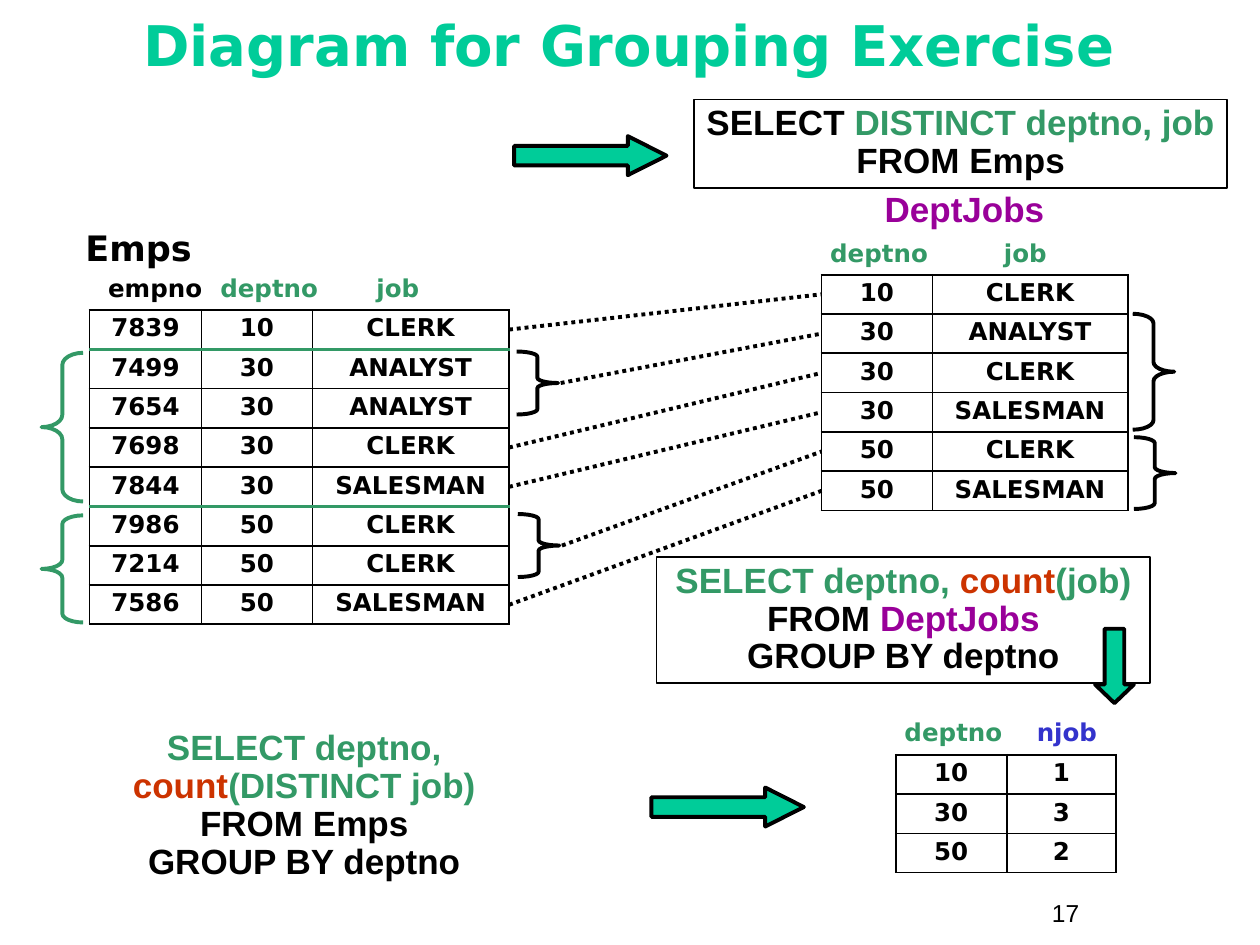
"""Build the slide that shows grouping of employees by department and job."""
from lxml.etree import SubElement
from pptx import Presentation
from pptx.dml.color import RGBColor
from pptx.enum.dml import MSO_LINE
from pptx.enum.shapes import MSO_CONNECTOR, MSO_SHAPE as SHAPE
from pptx.enum.text import MSO_ANCHOR as ANCHOR, MSO_AUTO_SIZE as AUTO, PP_ALIGN as ALIGN
from pptx.oxml import parse_xml
from pptx.oxml.ns import nsdecls, qn
from pptx.util import Inches, Pt

BLACK, GREEN, MINT = "000000", "339966", "00CC99"
PURPLE, RED, BLUE = "990099", "CC3300", "3333CC"
HEAD, CODE = "DejaVu Sans", "Arial"
color = RGBColor.from_string

presentation = Presentation()
presentation.slide_width, presentation.slide_height = Inches(10), Inches(7.5)
COLUMN = presentation.slide_width / 100
ROW = presentation.slide_height / 75
slide = presentation.slides.add_slide(presentation.slide_layouts[5])
shapes = slide.shapes


def place(left, top, width, height):
    """Turn grid columns and rows into lengths."""
    return int(left * COLUMN), int(top * ROW), int(width * COLUMN), int(height * ROW)


def write(frame, runs, size, font, bold=True, align=ALIGN.LEFT, spacing=1, tabs=()):
    """Fill a frame with one paragraph of (text, colour) runs."""
    paragraph = frame.paragraphs[0]
    paragraph.alignment, paragraph.line_spacing = align, spacing
    if tabs:
        tab_list = SubElement(paragraph._p.get_or_add_pPr(), qn("a:tabLst"))
        for tab in tabs:
            SubElement(tab_list, qn("a:tab"), pos=str(int(tab * COLUMN)), algn="l")
    for text, hex_color in runs:
        for index, part in enumerate(text.split("\n")):
            if index:
                paragraph.add_line_break()
            if part:
                run = paragraph.add_run()
                run.text = part
                run.font.size, run.font.name, run.font.bold = Pt(size), font, bold
                run.font.color.rgb = color(hex_color)


title = shapes.title
title.left, title.top, title.width, title.height = place(3.3, 0.9, 93.3, 5.8)
title.text_frame.auto_size = AUTO.NONE
title.text_frame.vertical_anchor = ANCHOR.MIDDLE
write(title.text_frame, [("Diagram for Grouping Exercise", MINT)], 32, HEAD,
      align=ALIGN.CENTER, spacing=0.9)

EMPS_LEFT, EMPS_TOP, EMPS_RIGHT = 7.1, 24.6, 40.4
JOBS_LEFT, JOBS_TOP = 65.2, 21.8
RECORD = 3.12
emps = ["7839 10 CLERK", "7499 30 ANALYST", "7654 30 ANALYST", "7698 30 CLERK",
        "7844 30 SALESMAN", "7986 50 CLERK", "7214 50 CLERK", "7586 50 SALESMAN"]
dept_jobs = ["10 CLERK", "30 ANALYST", "30 CLERK", "30 SALESMAN", "50 CLERK", "50 SALESMAN"]
job_counts = ["10 1", "30 3", "50 2"]

for left, top, widths, records, group_ends in [
    (EMPS_LEFT, EMPS_TOP, [8.9, 8.8, 15.6], emps, [0, 4]),
    (JOBS_LEFT, JOBS_TOP, [8.8, 15.5], dept_jobs, []),
    (71.1, 59.9, [8.8, 8.7], job_counts, []),
]:
    table = shapes.add_table(len(records), len(widths),
                             *place(left, top, sum(widths), RECORD * len(records))).table
    table.first_row = table.horz_banding = False
    for column, width in zip(table.columns, widths):
        column.width = int(width * COLUMN)
    for row_index, record in enumerate(records):
        table.rows[row_index].height = int(RECORD * ROW)
        for column_index, value in enumerate(record.split()):
            cell = table.cell(row_index, column_index)
            cell.fill.background()
            write(cell.text_frame, [(value, BLACK)], 14, HEAD, align=ALIGN.CENTER, spacing=0.9)
            properties = cell._tc.get_or_add_tcPr()
            for position, side in enumerate("LRTB"):
                edge = {"T": row_index - 1, "B": row_index}.get(side)
                hex_color, points = (GREEN, 2.21) if edge in group_ends else (BLACK, 1.08)
                properties.insert(position, parse_xml(
                    f'<a:ln{side} {nsdecls("a")} w="{Pt(points)}"><a:solidFill>'
                    f'<a:srgbClr val="{hex_color}"/></a:solidFill></a:ln{side}>'))

for area, runs, size, tabs in [
    ((5.8, 17.5, 23.3, 4.4), [("Emps", BLACK)], 20, []),
    ((7.6, 21.2, 29.4, 3.4), [("empno\t", BLACK), ("deptno\tjob", GREEN)], 14, [8.9, 21.3]),
    ((64.9, 18.4, 25, 3.4), [("deptno\tjob", GREEN)], 14, [13.8]),
    ((70.8, 56.4, 17.8, 3.4), [("deptno\t", GREEN), ("njob", BLUE)], 14, [10.5]),
]:
    frame = shapes.add_textbox(*place(*area)).text_frame
    frame.word_wrap = True
    write(frame, runs, size, HEAD, tabs=tabs)

for start_x, start_row, start_y in [
    (EMPS_RIGHT, 0, None), (44.5, None, 30.4), (EMPS_RIGHT, 3, None),
    (EMPS_RIGHT, 4, None), (44.6, None, 43.3), (EMPS_RIGHT, 7, None),
]:
    target = [0, None, 2, 3, None, 5]
    target_row = {0: 0, 3: 2, 4: 3, 7: 5}.get(start_row, 1 if start_y == 30.4 else 4)
    if start_y is None:
        start_y = EMPS_TOP + RECORD * (start_row + 0.5)
    end_y = JOBS_TOP + RECORD * (target_row + 0.5)
    link = shapes.add_connector(MSO_CONNECTOR.STRAIGHT, *place(start_x, start_y, JOBS_LEFT, end_y))
    link.line.color.rgb, link.line.width = color(BLACK), Pt(2.25)
    link.line.dash_style = MSO_LINE.ROUND_DOT
    SubElement(link._element.spPr, qn("a:effectLst"))

for kind, left, top, height, hex_color in [
    (SHAPE.RIGHT_BRACE, 41, 27.9, 5, BLACK), (SHAPE.RIGHT_BRACE, 41.1, 40.8, 5, BLACK),
    (SHAPE.RIGHT_BRACE, 89.9, 24.9, 9.2, BLACK), (SHAPE.RIGHT_BRACE, 90, 34.7, 5.7, BLACK),
    (SHAPE.LEFT_BRACE, 3.3, 28, 11.8, GREEN), (SHAPE.LEFT_BRACE, 3.3, 40.9, 8.5, GREEN),
]:
    brace = shapes.add_shape(kind, *place(left, top, 3.3, height))
    brace.adjustments[0] = height / 40
    brace.shadow.inherit = False
    brace.fill.background()
    brace.line.color.rgb, brace.line.width = color(hex_color), Pt(2.25)

for area, runs, framed, wrap in [
    ((55.1, 7.9, 42.3, 7),
     [("SELECT ", BLACK), ("DISTINCT deptno, job\n", GREEN), ("FROM Emps", BLACK)], True, False),
    ((69.2, 14.8, 14.7, 4), [("DeptJobs", PURPLE)], False, False),
    ((52.1, 44.2, 39.2, 10),
     [("SELECT deptno, ", GREEN), ("count", RED), ("(job)", GREEN), (" FROM ", BLACK),
      ("DeptJobs\n", PURPLE), ("GROUP BY deptno", BLACK)], True, True),
    ((3.3, 57.5, 41.7, 13),
     [("SELECT deptno, ", GREEN), ("count", RED), ("(DISTINCT job)\n", GREEN),
      ("FROM Emps\nGROUP BY deptno", BLACK)], False, True),
]:
    if framed:
        query = shapes.add_shape(SHAPE.RECTANGLE, *place(*area))
        query.shadow.inherit = False
        query.fill.background()
        query.line.color.rgb, query.line.width = color(BLACK), Pt(1)
    else:
        query = shapes.add_textbox(*place(*area))
    query.text_frame.word_wrap = wrap
    query.text_frame.vertical_anchor = ANCHOR.TOP
    write(query.text_frame, runs, 20, CODE, align=ALIGN.CENTER, spacing=0.9)

for left, top, height, head, rotation in [
    (56.2, 58, 12.1, 0.99, 270), (86.9, 49.9, 5.9, 0.48, 0), (45.3, 6.3, 12.1, 0.99, 270),
]:
    arrow = shapes.add_shape(SHAPE.DOWN_ARROW, *place(left, top, 3.1, height))
    arrow.adjustments[1] = head
    arrow.rotation = rotation
    arrow.shadow.inherit = False
    arrow.fill.solid()
    arrow.fill.fore_color.rgb = color(MINT)
    arrow.line.color.rgb, arrow.line.width = color(BLACK), Pt(2.25)

page_number = shapes.add_textbox(*place(82.5, 70.8, 9.2, 3.4)).text_frame
page_number.word_wrap = True
write(page_number, [("17", BLACK)], 14, CODE, bold=False)

presentation.save("out.pptx")
